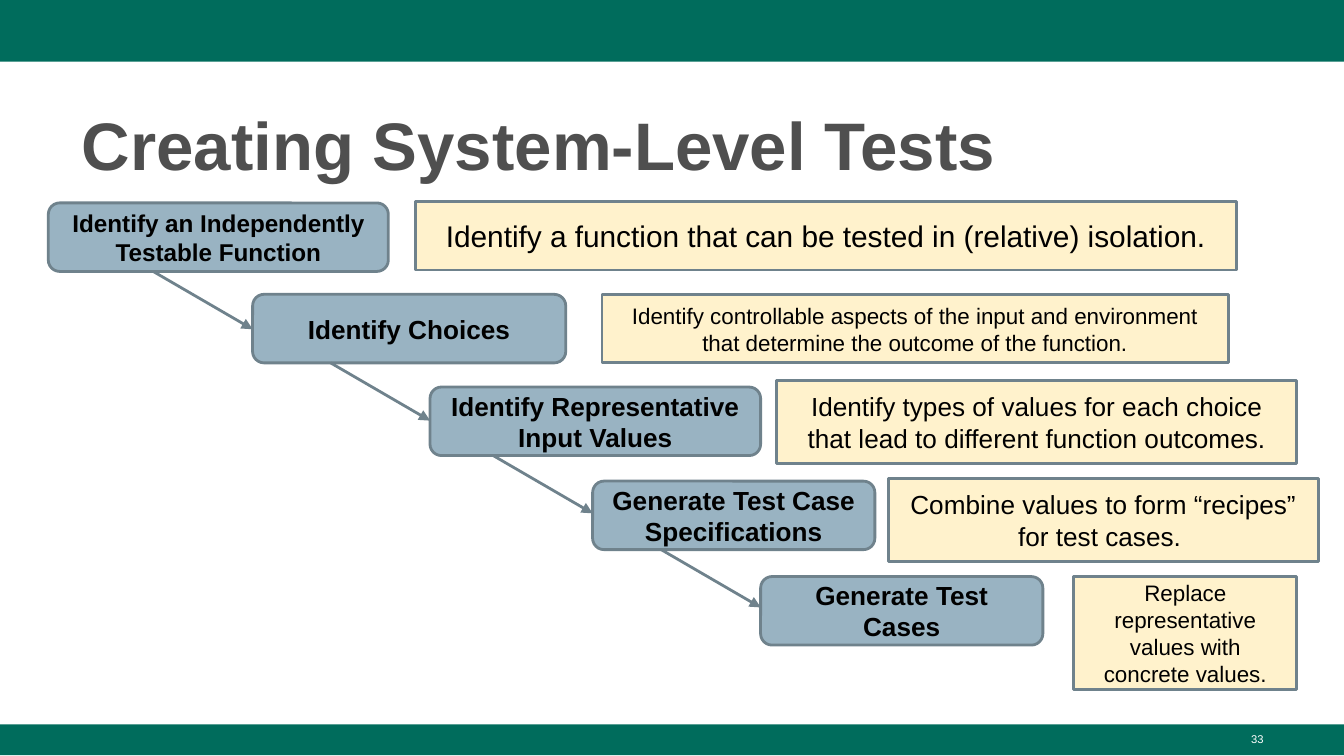
from lxml import etree
from pptx import Presentation, util as u
from pptx.dml.color import RGBColor
from pptx.enum import shapes, text
from pptx.oxml.ns import qn

PX = u.Inches(1) // 100
COLORS = {"green": "006C5C", "title": "4F4F4F", "step": "99B3C2", "note": "FFF2CC",
          "outline": "6F828C", "black": "000000", "white": "FFFFFF"}
STEP_HEIGHT = 51
ARROW_WIDTH, ARROW_DROP = 74, 43

steps = [
    ("Identify an Independently Testable Function", 36, 151, 253, 13),
    ("Identify Choices", 188, 219, 233, 14),
    ("Identify Representative Input Values", 320, 288, 246, 14),
    ("Generate Test Case Specifications", 441, 358, 210, 14),
    ("Generate Test Cases", 566, 429, 210, 14),
]
notes = [
    ("Identify a function that can be tested in (relative) isolation.", 309, 150, 611, 51, 16),
    ("Identify controllable aspects of the input and environment that determine the outcome "
     "of the function.", 448, 219, 466, 51, 12),
    ("Identify types of values for each choice that lead to different function outcomes.",
     578, 283, 387, 62, 14),
    ("Combine values to form “recipes” for test cases. ", 661, 356, 320, 62, 14),
    ("Replace representative values with concrete values.", 799, 429, 166, 84, 12),
]


def write(shape, words, size, color, align, bold=False):
    shape.text_frame.word_wrap = True
    paragraph = shape.text_frame.paragraphs[0]
    paragraph.text = words
    paragraph.alignment = align
    paragraph.font.name = "Arial"
    paragraph.font.size = u.Pt(size)
    paragraph.font.bold = bold
    paragraph.font.color.rgb = RGBColor.from_string(COLORS[color])
    return paragraph


def add_box(kind, left, top, width, height, fill, outline=None):
    shape = slide.shapes.add_shape(kind, left * PX, top * PX, width * PX, height * PX)
    shape.shadow.inherit = False
    shape.fill.solid()
    shape.fill.fore_color.rgb = RGBColor.from_string(COLORS[fill])
    if outline:
        shape.line.color.rgb = RGBColor.from_string(COLORS[outline])
        shape.line.width = u.Pt(1.5)
    else:
        shape.line.fill.background()
    frame = shape.text_frame
    frame.vertical_anchor = text.MSO_ANCHOR.MIDDLE
    frame.margin_left = frame.margin_right = frame.margin_top = frame.margin_bottom = 10 * PX
    return shape


presentation = Presentation()
presentation.slide_width = 1000 * PX
presentation.slide_height = presentation.slide_width * 9 // 16
slide = presentation.slides.add_slide(presentation.slide_layouts[5])

for top, height in [(0, 46), (539, 23)]:
    add_box(shapes.MSO_SHAPE.RECTANGLE, 0, top, 1000, height, "green")

title = slide.shapes.title
title.left, title.top, title.width, title.height = 51 * PX, 67 * PX, 899 * PX, 73 * PX
title.text_frame.vertical_anchor = text.MSO_ANCHOR.BOTTOM
title.text_frame.margin_bottom = 3 * PX
heading = write(title, "Creating System-Level Tests", 36, "title", text.PP_ALIGN.LEFT, True)
heading.line_spacing = 1.08

for words, left, top, width, size in steps:
    step = add_box(shapes.MSO_SHAPE.ROUNDED_RECTANGLE, left, top, width, STEP_HEIGHT,
                   "step", "outline")
    write(step, words, size, "black", text.PP_ALIGN.CENTER, True)

for (_, _, top, _, _), (_, next_left, _, _, _) in zip(steps, steps[1:]):
    bottom = top + STEP_HEIGHT
    arrow = slide.shapes.add_connector(
        shapes.MSO_CONNECTOR.STRAIGHT, (next_left - ARROW_WIDTH) * PX, bottom * PX,
        next_left * PX, (bottom + ARROW_DROP) * PX)
    arrow.line.color.rgb = RGBColor.from_string(COLORS["outline"])
    arrow.line.width = u.Pt(1.5)
    etree.SubElement(arrow.line._get_or_add_ln(), qn("a:tailEnd"), type="triangle")
    etree.SubElement(arrow._element.spPr, qn("a:effectLst"))

for words, left, top, width, height, size in notes:
    note = add_box(shapes.MSO_SHAPE.RECTANGLE, left, top, width, height, "note", "outline")
    write(note, words, size, "black", text.PP_ALIGN.CENTER)

page_number = slide.shapes.add_textbox(717 * PX, 540 * PX, 233 * PX, 23 * PX)
write(page_number, "33", 6, "white", text.PP_ALIGN.RIGHT)

presentation.save("out.pptx")
